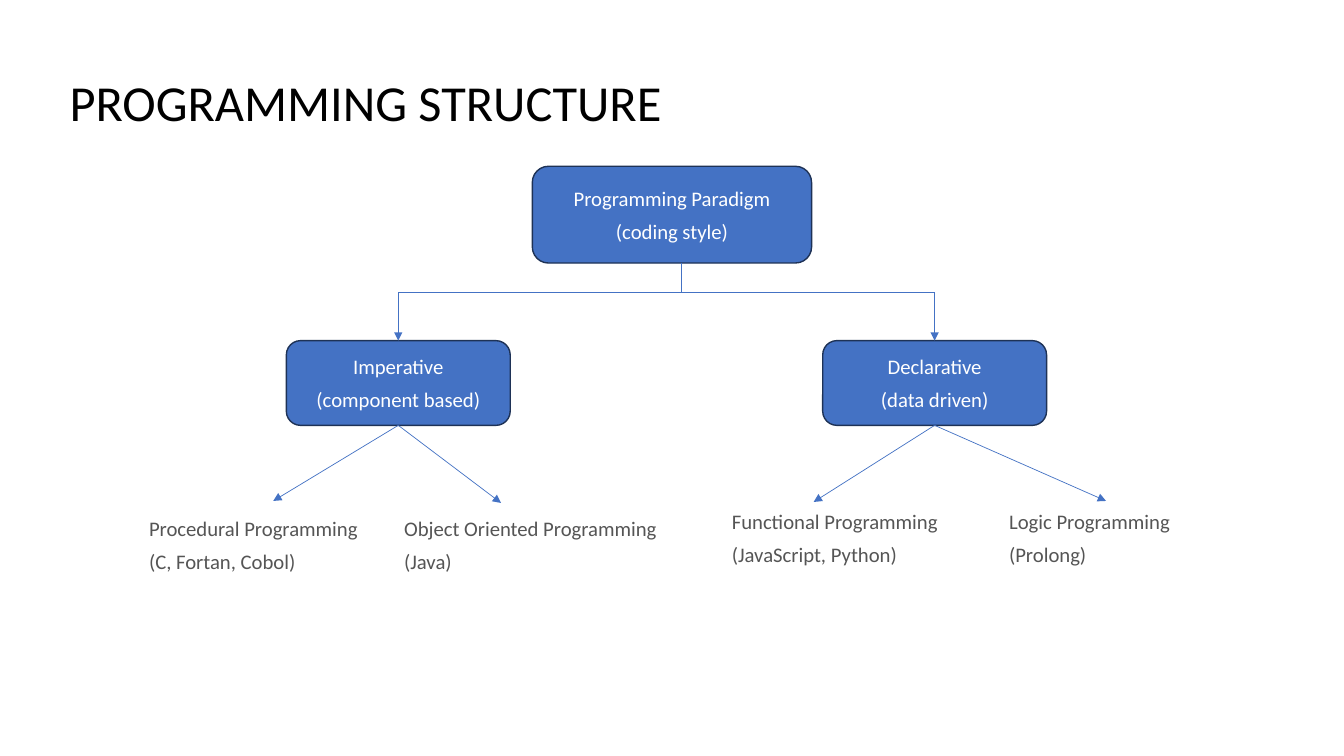
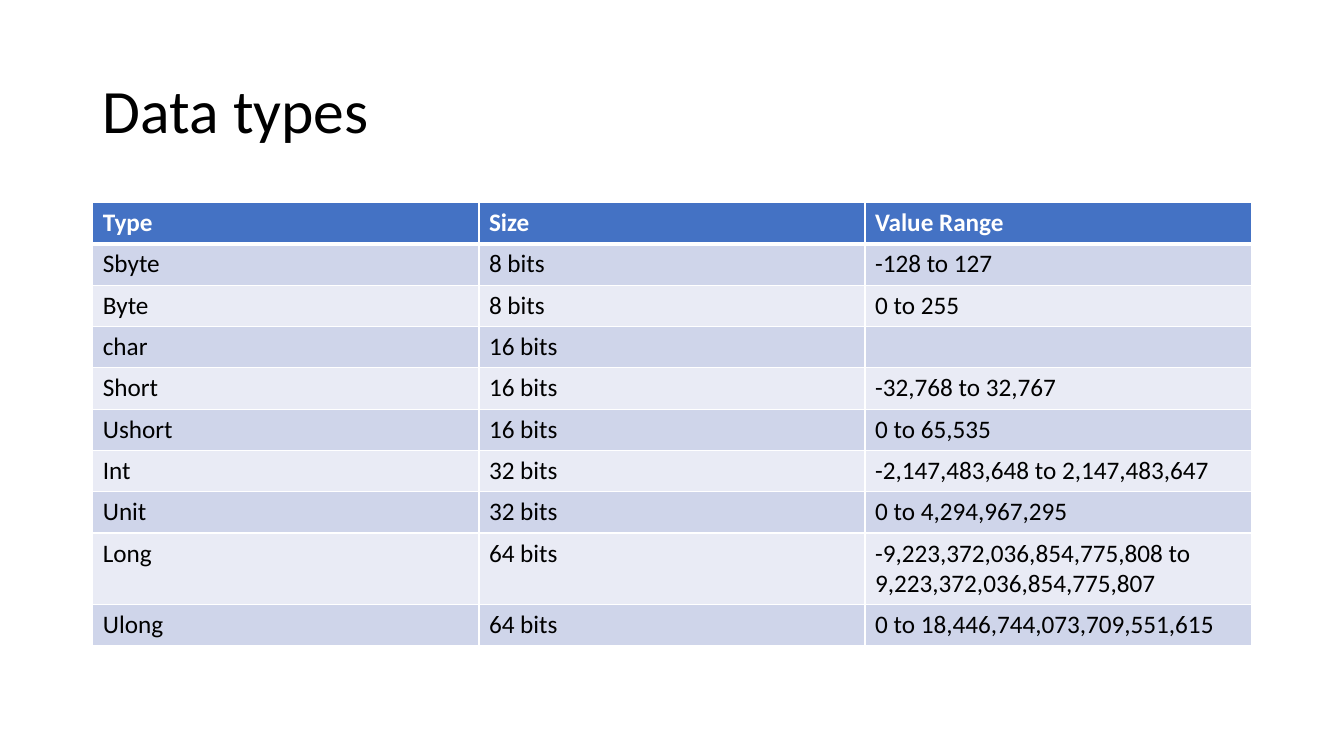
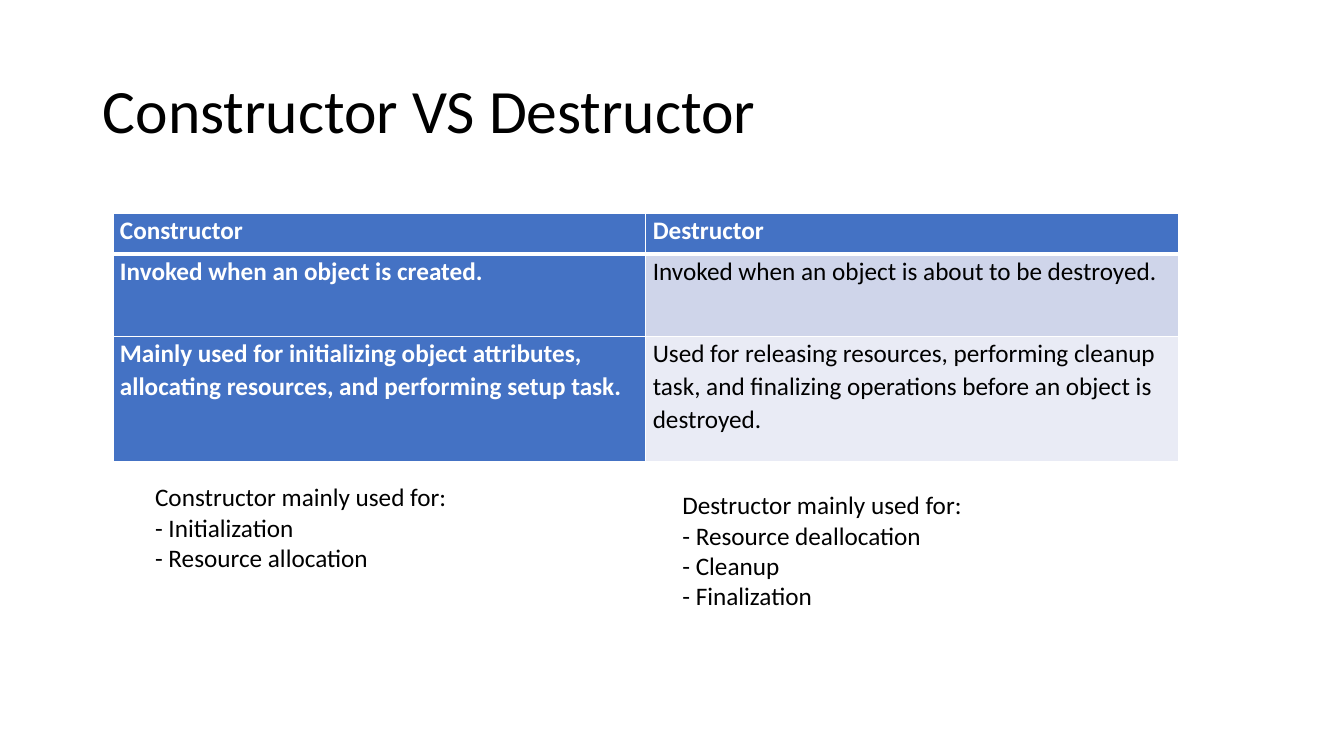
from lxml import etree
from pptx import Presentation
from pptx.dml.color import RGBColor
from pptx.enum.shapes import MSO_CONNECTOR, MSO_SHAPE
from pptx.enum.text import MSO_ANCHOR, MSO_AUTO_SIZE, PP_ALIGN
from pptx.oxml.ns import qn
from pptx.util import Inches, Pt

STRAIGHT = MSO_CONNECTOR.STRAIGHT
ROUNDED = MSO_SHAPE.ROUNDED_RECTANGLE
MIDDLE = MSO_ANCHOR.MIDDLE
LEFT, CENTER = PP_ALIGN.LEFT, PP_ALIGN.CENTER
GROW, NO_FIT = MSO_AUTO_SIZE.SHAPE_TO_FIT_TEXT, MSO_AUTO_SIZE.NONE
TOP_SIDE, BOTTOM_SIDE = 0, 2

# Shared style
FONT = "Calibri"
BLUE, NAVY, GRAY = "4472C4", "1E3256", "555555"
WHITE, BLACK = "FFFFFF", "000000"
BANDS = ("CFD5EA", "E9EBF5")
TITLE_AREA = (0.92, 0.4, 11.5, 1.45)

# Programming structure: boxes, and labels with the tip of the arrow to each
ROOT = (["Programming Paradigm", "(coding style)"], (5.28, 1.65, 2.77, 0.96))
STEM_X, BAR_Y = 6.76, 2.9
BRANCHES = [
    (["Imperative", "(component based)"], (2.84, 3.38, 2.22, 0.84), [
        (["Procedural Programming", "(C, Fortan, Cobol)"], (1.38, 5.07, 2.48, 0.68), (2.71, 4.97)),
        (["Object Oriented Programming", "(Java)"], (3.91, 5.07, 3.07, 0.68), (4.97, 4.99)),
    ]),
    (["Declarative", "(data driven)"], (8.16, 3.38, 2.22, 0.84), [
        (["Functional Programming", "(JavaScript, Python)"], (7.16, 5, 2.48, 0.68), (8.07, 4.98)),
        (["Logic Programming", "(Prolong)"], (9.91, 5, 2.48, 0.68), (10.97, 4.97)),
    ]),
]

# Table contents; a line break starts a new paragraph
DATA_TYPES = [
    ("Type", "Size", "Value Range"),
    ("Sbyte", "8 bits", "-128 to 127"),
    ("Byte", "8 bits", "0 to 255"),
    ("char", "16 bits", ""),
    ("Short", "16 bits", "-32,768 to 32,767"),
    ("Ushort", "16 bits", "0 to 65,535"),
    ("Int", "32 bits", "-2,147,483,648 to 2,147,483,647"),
    ("Unit", "32 bits", "0 to 4,294,967,295"),
    ("Long", "64 bits", "-9,223,372,036,854,775,808 to\n9,223,372,036,854,775,807"),
    ("Ulong", "64 bits", "0 to 18,446,744,073,709,551,615"),
]
COMPARISON = [
    ("Constructor", "Destructor"),
    ("Invoked when an object is created.", "Invoked when an object is about to be destroyed."),
    ("Mainly used for initializing object attributes, allocating resources, and performing setup task.",
     "Used for releasing resources, performing cleanup task, and finalizing operations "
     "before an object is destroyed."),
]
USES = [
    (["Constructor mainly used for:", "- Initialization", "- Resource allocation"],
     (1.44, 4.73, 5.13, 1.01)),
    (["Destructor mainly used for:", "- Resource deallocation", "- Cleanup", "- Finalization"],
     (6.67, 4.81, 6.66, 1.31)),
]


def color(value):
    return RGBColor.from_string(value)


def inches(values):
    return [Inches(value) for value in values]


def place(shape, area):
    shape.left, shape.top, shape.width, shape.height = inches(area)


def write(frame, lines, size, ink, align=LEFT, bold=False, after=0, spacing=1.0):
    for index, line in enumerate(lines):
        para = frame.add_paragraph() if index else frame.paragraphs[0]
        para.alignment = align
        para.space_after = Pt(after)
        para.line_spacing = spacing
        span = para.add_run()
        span.text = line
        span.font.name, span.font.size, span.font.bold = FONT, Pt(size), bold
        span.font.color.rgb = color(ink)


def add_page(title, size=44, spacing=0.9, area=None):
    page = deck.slides.add_slide(layout)
    if area:
        place(page.shapes.title, area)
    frame = page.shapes.title.text_frame
    frame.auto_size, frame.vertical_anchor = NO_FIT, MIDDLE
    write(frame, [title], size, BLACK, spacing=spacing)
    return page


def add_text(page, lines, area, size, ink, after=0):
    frame = page.shapes.add_textbox(*inches(area)).text_frame
    frame.word_wrap, frame.auto_size = True, GROW
    write(frame, lines, size, ink, after=after)


def add_box(page, lines, area):
    box = page.shapes.add_shape(ROUNDED, *inches(area))
    box.shadow.inherit = False
    box.fill.solid()
    box.fill.fore_color.rgb = color(BLUE)
    box.line.color.rgb = color(NAVY)
    box.line.width = Pt(1)
    box.text_frame.vertical_anchor = MIDDLE
    write(box.text_frame, lines, 14.8, WHITE, CENTER, after=6)
    return box


def add_line(page, start, end, arrow=False):
    line = page.shapes.add_connector(STRAIGHT, *inches(start + end))
    line.line.color.rgb = color(BLUE)
    line.line.width = Pt(0.5)
    if arrow:
        etree.SubElement(line.line._get_or_add_ln(), qn("a:tailEnd"), type="triangle")
    etree.SubElement(line._element.spPr, qn("a:effectLst"))
    return line


def set_border(cell, side, points):
    edge = etree.SubElement(cell._tc.get_or_add_tcPr(), qn(f"a:ln{side}"), w=str(Pt(points)))
    fill = etree.SubElement(edge, qn("a:solidFill"))
    etree.SubElement(fill, qn("a:srgbClr"), val=WHITE)


def add_grid(page, rows, area, heights, margins=None, head_column=False, **text_style):
    table = page.shapes.add_table(len(rows), len(rows[0]), *inches(area)).table
    table.horz_banding = False
    for row, height in zip(table.rows, heights):
        row.height = Inches(height)
    for r, values in enumerate(rows):
        for c, value in enumerate(values):
            cell = table.cell(r, c)
            head = r == 0 or (head_column and c == 0)
            if margins:
                cell.margin_left = cell.margin_right = Inches(margins[0])
                cell.margin_top = cell.margin_bottom = Inches(margins[1])
            # Thick rule under the header, thin ones elsewhere
            for side, thick in (("L", False), ("R", False), ("T", r == 1), ("B", r == 0)):
                set_border(cell, side, 3 if thick else 1)
            cell.fill.solid()
            cell.fill.fore_color.rgb = color(BLUE if head else BANDS[(r - 1) % 2])
            if value:
                write(cell.text_frame, value.split("\n"), 18, WHITE if head else BLACK,
                      bold=head, **text_style)


deck = Presentation()
deck.slide_width, deck.slide_height = inches((13.33, 7.5))
layout = deck.slide_layouts.get_by_name("Title Only")
place(layout.placeholders[0], TITLE_AREA)

# Slide 1: tree of paradigms
page = add_page("PROGRAMMING STRUCTURE", 36, 1.0, (0.59, 0.65, 6.48, 0.71))
add_box(page, *ROOT)
root_area = ROOT[1]
add_line(page, (STEM_X, root_area[1] + root_area[3]), (STEM_X, BAR_Y))
centers = [left + width / 2 for _, (left, _, width, _), _ in BRANCHES]
add_line(page, (centers[0], BAR_Y), (centers[-1], BAR_Y))
for center, (lines, area, leaves) in zip(centers, BRANCHES):
    box = add_box(page, lines, area)
    drop = add_line(page, (center, BAR_Y), (center, area[1]), arrow=True)
    drop.end_connect(box, TOP_SIDE)
    for label, label_area, tip in leaves:
        add_text(page, label, label_area, 14.8, GRAY, after=6)
        arrow = add_line(page, (center, area[1] + area[3]), tip, arrow=True)
        arrow.begin_connect(box, BOTTOM_SIDE)

# Slide 2: data types
page = add_page("Data types")
add_grid(page, DATA_TYPES, (0.92, 2.01, 11.49, 4.1), [0.41] * len(DATA_TYPES))

# Slide 3: comparison
page = add_page("Constructor VS Destructor")
add_grid(page, COMPARISON, (1.12, 2.12, 10.57, 2.46), (0.4, 0.82, 1.24),
         margins=(0.07, 0), head_column=True, after=8, spacing=1.07)
for lines, area in USES:
    add_text(page, lines, area, 18, BLACK)

deck.save("out.pptx")
